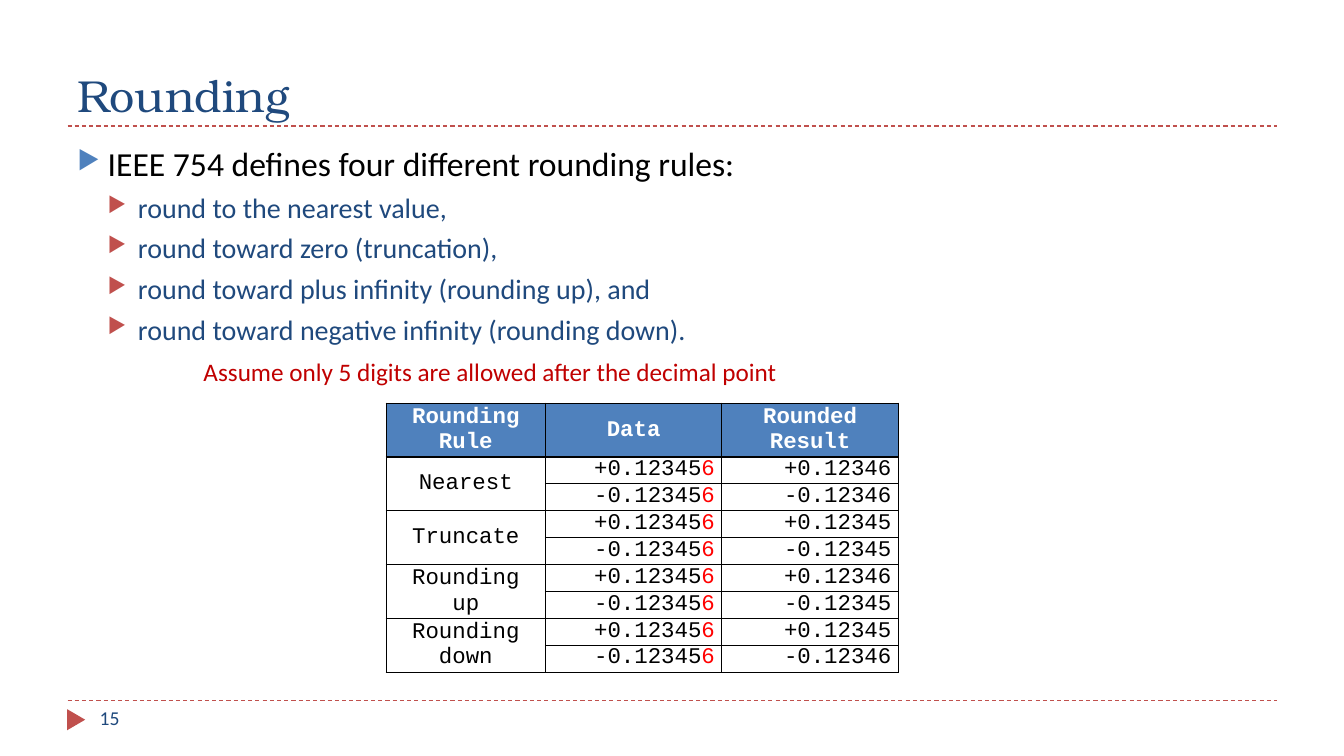
from dataclasses import dataclass

from lxml import etree
from pptx import Presentation
from pptx.dml.color import RGBColor
from pptx.enum.dml import MSO_LINE
from pptx.enum.shapes import MSO_CONNECTOR, MSO_SHAPE
from pptx.enum.text import MSO_ANCHOR as Anchor, PP_ALIGN as Align
from pptx.oxml.ns import qn
from pptx.util import Inches, Pt


@dataclass(frozen=True)
class Theme:
    navy: str = "1F497D"
    blue: str = "4F81BD"
    red: str = "C0504D"
    note_red: str = "C00000"
    digit_red: str = "FF0000"
    black: str = "000000"
    white: str = "FFFFFF"
    title_font: str = "TeX Gyre Bonum"
    body_font: str = "Calibri"
    table_font: str = "Courier New"
    title_size: int = 32
    body_size: int = 24
    rule_size: int = 20
    note_size: int = 18
    table_size: int = 16
    number_size: int = 14


THEME = Theme()

HEADERS = ["Rounding Rule", "Data", "Rounded Result"]
DATA = ["+0.12345", "-0.12345"]
DROPPED_DIGIT = "6"
RESULTS = {
    "Nearest": ["+0.12346", "-0.12346"],
    "Truncate": ["+0.12345", "-0.12345"],
    "Rounding up": ["+0.12346", "-0.12345"],
    "Rounding down": ["+0.12345", "-0.12346"],
}
INTRO = "IEEE 754 defines four different rounding rules:"
RULES = [
    "round to the nearest value,",
    "round toward zero (truncation),",
    "round toward plus infinity (rounding up), and",
    "round toward negative infinity (rounding down).",
]


def color(value):
    return RGBColor.from_string(value)


def set_font(paragraph, name, size, value, bold=False):
    font = paragraph.font
    font.name, font.size, font.bold = name, Pt(size), bold
    font.color.rgb = color(value)


def add_text(slide, box, text, name, size, value, anchor=Anchor.TOP):
    shape = slide.shapes.add_textbox(*map(Inches, box))
    frame = shape.text_frame
    frame.word_wrap = True
    frame.vertical_anchor = anchor
    frame.text = text
    set_font(frame.paragraphs[0], name, size, value)
    return frame


def add_dashed_rule(slide, left, top, width):
    line = slide.shapes.add_connector(
        MSO_CONNECTOR.STRAIGHT, *map(Inches, (left, top, left + width, top)))
    line.line.color.rgb = color(THEME.red)
    line.line.width = Pt(0.75)
    line.line.dash_style = MSO_LINE.DASH
    etree.SubElement(line._element.spPr, qn("a:effectLst"))


def add_title(slide, box):
    left, top, width, height = box
    add_dashed_rule(slide, left, top + height, width)
    add_text(slide, box, "Rounding", THEME.title_font, THEME.title_size,
             THEME.navy, Anchor.BOTTOM)


def add_footer(slide, box):
    left, top, width, height = box
    add_dashed_rule(slide, left, top, width)
    marker = slide.shapes.add_shape(
        MSO_SHAPE.ISOSCELES_TRIANGLE,
        *map(Inches, (left - 0.02, top + 0.1, 0.21, 0.18)))
    marker.rotation = 90
    marker.shadow.inherit = False
    marker.fill.solid()
    marker.fill.fore_color.rgb = color(THEME.red)
    marker.line.fill.background()
    add_text(slide, (left + 0.22, top, 2.89, height), "15",
             THEME.body_font, THEME.number_size, THEME.navy)


def add_bullet(paragraph, level, value):
    properties = paragraph._p.get_or_add_pPr()
    properties.set("marL", str(Inches(0.3 * (level + 1))))
    properties.set("indent", str(Inches(-0.3)))
    paragraph.level = level
    bullet_color = etree.SubElement(properties, qn("a:buClr"))
    etree.SubElement(bullet_color, qn("a:srgbClr"), val=value)
    etree.SubElement(properties, qn("a:buSzPct"), val="76000")
    etree.SubElement(properties, qn("a:buChar"), char="▶")


def add_rules(slide, box):
    shape = slide.shapes.add_textbox(*map(Inches, box))
    frame = shape.text_frame
    frame.word_wrap = True
    intro = frame.paragraphs[0]
    intro.text = INTRO
    add_bullet(intro, 0, THEME.blue)
    set_font(intro, THEME.body_font, THEME.body_size, THEME.black)
    for rule in RULES:
        paragraph = frame.add_paragraph()
        paragraph.text = rule
        add_bullet(paragraph, 1, THEME.red)
        paragraph.space_before = Pt(5)
        set_font(paragraph, THEME.body_font, THEME.rule_size, THEME.navy)


def style_cell(cell, fill=None):
    cell.margin_left = cell.margin_right = Inches(0.07)
    cell.margin_top = cell.margin_bottom = 0
    properties = cell._tc.get_or_add_tcPr()
    for side in ("lnL", "lnR", "lnT", "lnB"):
        border = etree.SubElement(properties, qn(f"a:{side}"), w=str(Pt(1)))
        solid = etree.SubElement(border, qn("a:solidFill"))
        etree.SubElement(solid, qn("a:srgbClr"), val=THEME.black)
    if fill:
        cell.fill.solid()
        cell.fill.fore_color.rgb = color(fill)
    else:
        cell.fill.background()


def write_cell(cell, text, align, value=THEME.black, bold=False):
    cell.text = text
    cell.vertical_anchor = Anchor.MIDDLE if align == Align.CENTER else Anchor.TOP
    paragraph = cell.text_frame.paragraphs[0]
    paragraph.alignment = align
    set_font(paragraph, THEME.table_font, THEME.table_size, value, bold)
    return paragraph


def add_results_table(slide, box):
    row_count = 1 + len(RESULTS) * len(DATA)
    row_height = box[3] / (row_count + 1)  # the header is two rows high
    frame = slide.shapes.add_table(row_count, len(HEADERS), *map(Inches, box))
    table = frame.table
    table.first_row = table.horz_banding = False
    for column, width in zip(table.columns, (1.58, 1.75, 1.75)):
        column.width = Inches(width)
    for index, row in enumerate(table.rows):
        row.height = Inches(row_height * (1 if index else 2))
        for cell in row.cells:
            style_cell(cell, None if index else THEME.blue)
    for index, header in enumerate(HEADERS):
        write_cell(table.cell(0, index), header, Align.CENTER, THEME.white, True)
    for group, (rule, results) in enumerate(RESULTS.items()):
        first = 1 + group * len(DATA)
        name_cell = table.cell(first, 0)
        name_cell.merge(table.cell(first + len(DATA) - 1, 0))
        write_cell(name_cell, rule, Align.CENTER)
        for row, (data, result) in enumerate(zip(DATA, results), first):
            paragraph = write_cell(table.cell(row, 1), data, Align.RIGHT)
            digit = paragraph.add_run()
            digit.text = DROPPED_DIGIT
            digit.font.color.rgb = color(THEME.digit_red)
            write_cell(table.cell(row, 2), result, Align.RIGHT)


def main():
    presentation = Presentation()
    presentation.slide_width = Inches(13.33)
    presentation.slide_height = Inches(7.5)
    slide = presentation.slides.add_slide(presentation.slide_layouts[6])
    # Frame of the slide
    add_footer(slide, (0.67, 6.95, 12, 0.4))
    add_title(slide, (0.67, 0.17, 12, 1.08))
    # Content
    add_rules(slide, (0.67, 1.37, 9, 2))
    add_results_table(slide, (3.83, 4, 5.08, 2.5))
    add_text(slide, (1.92, 3.49, 7.33, 0.4),
             "Assume only 5 digits are allowed after the decimal point",
             THEME.body_font, THEME.note_size, THEME.note_red)
    presentation.save("out.pptx")


if __name__ == "__main__":
    main()
